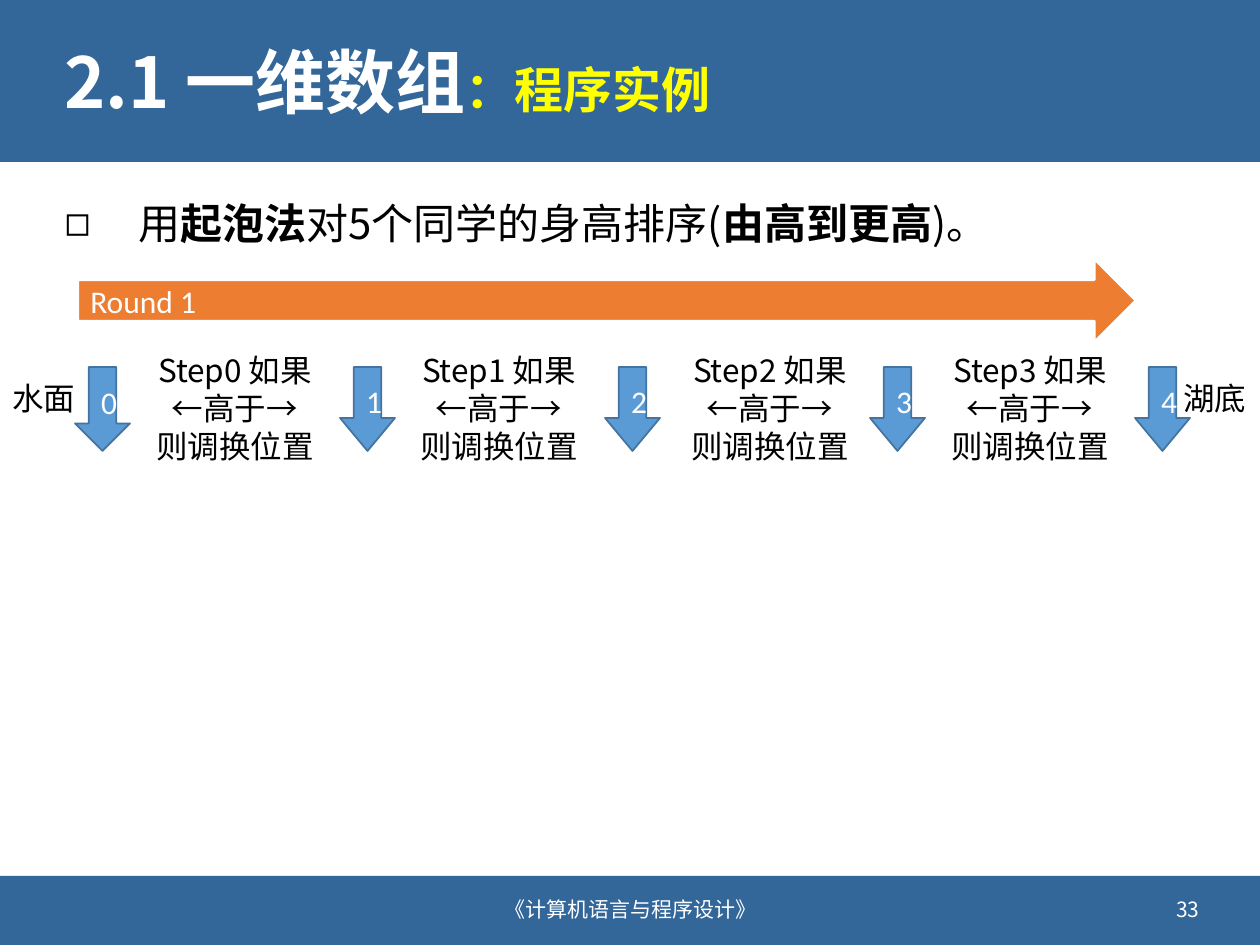
import pptx
import pptx.util
import pptx.dml.color
import pptx.enum.shapes
import pptx.enum.text
import pptx.oxml
import pptx.oxml.ns
from lxml import etree

RGB = pptx.dml.color.RGBColor
SHAPE = pptx.enum.shapes.MSO_SHAPE
ALIGN = pptx.enum.text.PP_ALIGN
ANCHOR = pptx.enum.text.MSO_ANCHOR
AUTO = pptx.enum.text.MSO_AUTO_SIZE
Pt = pptx.util.Pt

BAND = RGB(0x33, 0x66, 0x99)
WHITE = RGB(0xFF, 0xFF, 0xFF)
BLACK = RGB(0, 0, 0)
YELLOW = RGB(0xFF, 0xFF, 0)
BLUE = RGB(0x5B, 0x9B, 0xD5)
BLUE_EDGE = RGB(0x43, 0x73, 0x9E)
ORANGE = RGB(0xED, 0x7D, 0x31)
SANS = "Noto Sans CJK SC"
LATIN = "Calibri"

TITLE = [("2.1 一维数组", 40, WHITE), ("：程序实例", 28, YELLOW)]
TASK = [("用", False), ("起泡法", True), ("对5个同学的身高排序(", False),
        ("由高到更高", True), (")。", False)]
BANDS = [(0, 0, 1260, 162), (0, 876, 1260, 69)]
FOOTERS = [("《计算机语言与程序设计》", (404, 884, 454, 50), ALIGN.CENTER),
           ("33", (910, 884, 302, 50), ALIGN.RIGHT)]
ROUND = "Round 1"
POSITIONS = ["0", "1", "2", "3", "4"]
STEP_LEFTS = [142, 406, 677, 937]
STEP_LINES = ["←高于→", "则调换位置"]
ENDS = [("水面", 0), ("湖底", 1171)]

ARROW_LEFT, ARROW_PITCH = 75, 265


def px(n):
    return pptx.util.Emu(n * 914400 // 126)


def place(shape, box):
    shape.left, shape.top, shape.width, shape.height = map(px, box)


def set_face(paragraph, face):
    """Set the Latin and East Asian typefaces of a paragraph's runs."""
    paragraph.font.name = face
    for run in paragraph.runs:
        ea = etree.SubElement(run._r.get_or_add_rPr(), pptx.oxml.ns.qn("a:ea"))
        ea.set("typeface", face)


def style(paragraph, size, color, face=SANS):
    paragraph.font.size = Pt(size)
    paragraph.font.color.rgb = color
    set_face(paragraph, face)


def add_filled(slide, kind, box, fill, edge=None, edge_width=1):
    shape = slide.shapes.add_shape(kind, *map(px, box))
    shape.shadow.inherit = False
    shape.fill.solid()
    shape.fill.fore_color.rgb = fill
    if edge is None:
        shape.line.fill.background()
    else:
        shape.line.color.rgb = edge
        shape.line.width = Pt(edge_width)
    return shape


def write(shape, lines, size, color, align, face=SANS, anchor=ANCHOR.TOP):
    frame = shape.text_frame
    frame.text = "\n".join(lines)
    frame.vertical_anchor = anchor
    for paragraph in frame.paragraphs:
        paragraph.alignment = align
        style(paragraph, size, color, face)


def add_label(slide, lines, box, align):
    label = slide.shapes.add_textbox(*map(px, box))
    write(label, lines, 18, BLACK, align)
    return label.text_frame


def fill_title(title):
    place(title, (52, 23, 1158, 125))
    title.text_frame.auto_size = AUTO.NONE
    title.text_frame.vertical_anchor = ANCHOR.MIDDLE
    heading = title.text_frame.paragraphs[0]
    heading.alignment = ALIGN.LEFT
    heading.line_spacing = 0.9
    for text, size, color in TITLE:
        run = heading.add_run()
        run.text = text
        run.font.size = Pt(size)
        run.font.color.rgb = color
    heading.font.bold = True
    set_face(heading, SANS)


def fill_task(body):
    place(body, (52, 186, 1158, 83))
    body.text_frame.auto_size = AUTO.NONE
    task = body.text_frame.paragraphs[0]
    task.line_spacing = 1.1
    task.space_before = Pt(0)
    props = task._p.get_or_add_pPr()
    props.set("marL", str(px(74)))
    props.set("indent", str(-px(74)))
    bullet_color = etree.SubElement(props, pptx.oxml.ns.qn("a:buClr"))
    etree.SubElement(bullet_color, pptx.oxml.ns.qn("a:srgbClr")).set("val", str(BLACK))
    etree.SubElement(props, pptx.oxml.ns.qn("a:buChar")).set("char", "◻")
    for text, bold in TASK:
        run = task.add_run()
        run.text = text
        run.font.bold = bold
    style(task, 24, BLACK)


def main():
    deck = pptx.Presentation()
    deck.slide_width, deck.slide_height = px(1260), px(945)
    slide = deck.slides.add_slide(deck.slide_layouts[1])
    title, body = slide.placeholders

    for box in BANDS:
        band = add_filled(slide, SHAPE.RECTANGLE, box, BAND)
        title._element.addprevious(band._element)
    fill_title(title)
    fill_task(body)

    for text, box, align in FOOTERS:
        footer = slide.shapes.add_textbox(*map(px, box))
        footer.text_frame.word_wrap = True
        write(footer, [text], 12, WHITE, align, anchor=ANCHOR.MIDDLE)

    for i, position in enumerate(POSITIONS):
        box = (ARROW_LEFT + i * ARROW_PITCH, 367, 55, 84)
        arrow = add_filled(slide, SHAPE.DOWN_ARROW, box, BLUE, BLUE_EDGE)
        if i:
            arrow.adjustments[1] = 0.6
        write(arrow, [position], 18, WHITE, ALIGN.CENTER, LATIN, ANCHOR.MIDDLE)

    for i, left in enumerate(STEP_LEFTS):
        step = add_label(slide, [f"Step{i} 如果"] + STEP_LINES,
                         (left, 345, 186, 127), ALIGN.CENTER)
        step.word_wrap = True
        step.auto_size = AUTO.NONE
        step.margin_left = step.margin_right = 0

    sweep = add_filled(slide, SHAPE.RIGHT_ARROW, (78, 259, 1058, 83), ORANGE, WHITE, 1.5)
    write(sweep, [ROUND], 18, WHITE, ALIGN.LEFT, LATIN, ANCHOR.MIDDLE)

    for text, left in ENDS:
        end = add_label(slide, [text], (left, 373, 89, 50), ALIGN.LEFT)
        end.word_wrap = False
        end.auto_size = AUTO.SHAPE_TO_FIT_TEXT

    deck.save("out.pptx")


if __name__ == "__main__":
    main()
